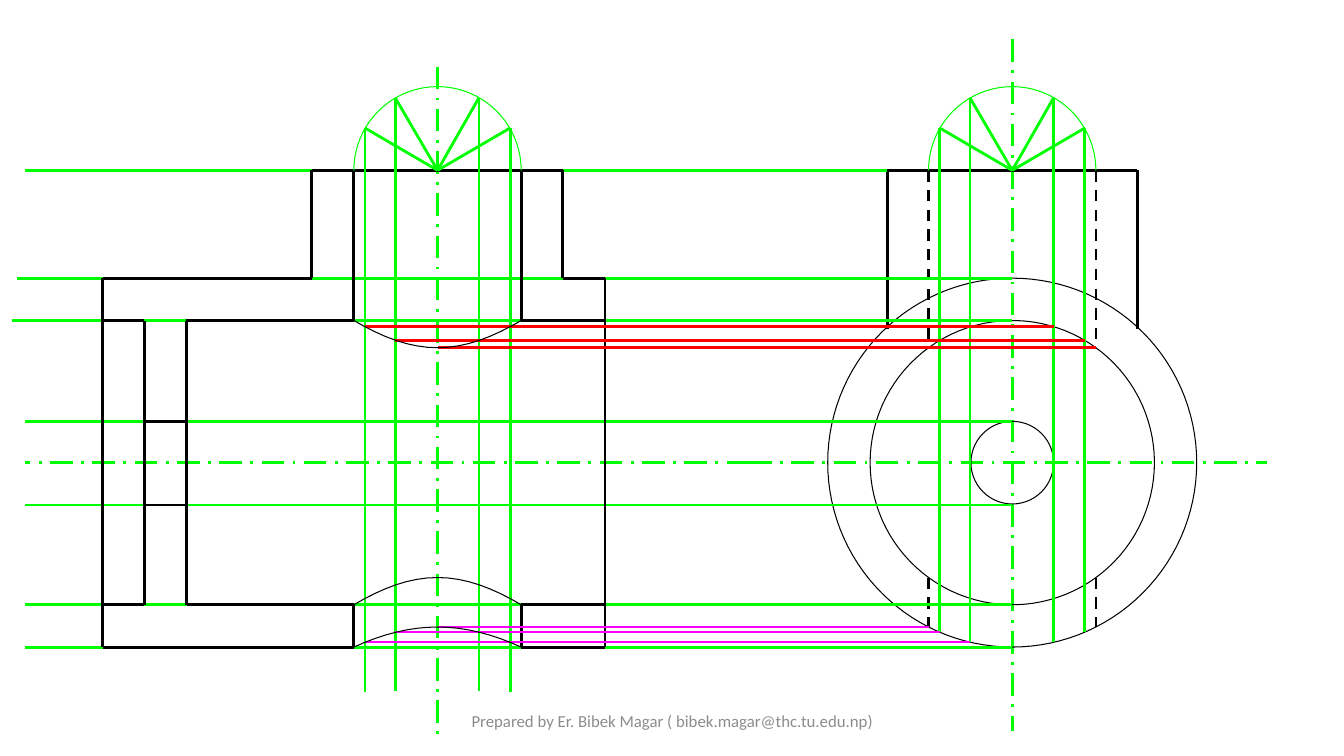
from math import cos, pi, sin, sqrt

from lxml.etree import SubElement
from pptx import Presentation
from pptx.dml.color import RGBColor as Rgb
from pptx.enum.dml import MSO_LINE as Dash
from pptx.enum.shapes import MSO_CONNECTOR as Connector
from pptx.enum.text import MSO_ANCHOR as Anchor, PP_ALIGN as Align
from pptx.oxml.ns import qn
from pptx.util import Pt

PX = 9144  # 100 px to the inch
COLORS = {"edge": "000000", "guide": "00FF00", "upper": "FF0000",
          "lower": "FF00FF", "footer": "8C8C8C"}

# Shared levels and radii of the two views
FRONT_X, SIDE_X, AXIS_Y = 434, 1004, 459
BRANCH_TOP, LEFT_END = 169, 25
OUTER, INNER, HOLE, BORE = 183, 141, 41, 83
BODY_TOP, BODY_BOTTOM = AXIS_Y - OUTER, AXIS_Y + OUTER
WALL_TOP, WALL_BOTTOM = AXIS_Y - INNER, AXIS_Y + INNER
HOLE_TOP, HOLE_BOTTOM = 418, 501

presentation = Presentation()
presentation.slide_width, presentation.slide_height = 1333 * PX, 750 * PX
slide = presentation.slides.add_slide(presentation.slide_layouts[6])


def add_line(x1, y1, x2, y2, color="edge", width=0, dash=None):
    line = slide.shapes.add_connector(
        Connector.STRAIGHT, x1 * PX, y1 * PX, x2 * PX, y2 * PX)
    line.line.color.rgb = Rgb.from_string(COLORS[color])
    line.line.width = Pt(width)
    if dash:
        line.line.dash_style = dash
    SubElement(line._element.spPr, qn("a:effectLst"))


def add_curve(points, color="edge", close=False):
    corners = [(round(x * PX), round(y * PX)) for x, y in points]
    builder = slide.shapes.build_freeform(*corners[0])
    builder.add_line_segments(corners[1:], close=close)
    shape = builder.convert_to_shape()
    shape.shadow.inherit = False
    shape.fill.background()
    shape.line.color.rgb = Rgb.from_string(COLORS[color])
    shape.line.width = Pt(0)


# Footer
footer = slide.shapes.add_textbox(442 * PX, 695 * PX, 450 * PX, 40 * PX)
frame = footer.text_frame
frame.word_wrap = True
frame.vertical_anchor = Anchor.MIDDLE
paragraph = frame.paragraphs[0]
paragraph.text = "Prepared by Er. Bibek Magar ( bibek.magar@thc.tu.edu.np)"
paragraph.alignment = Align.CENTER
for name, value in {"name": "Calibri", "size": Pt(12)}.items():
    setattr(paragraph.font, name, value)
paragraph.font.color.rgb = Rgb.from_string(COLORS["footer"])

# Centre lines
for ends in [(SIDE_X, 39, SIDE_X, 725), (743, AXIS_Y, 1257, AXIS_Y),
             (743, AXIS_Y, LEFT_END, AXIS_Y), (FRONT_X, 66, FRONT_X, 736)]:
    add_line(*ends, "guide", 2, Dash.LONG_DASH_DOT)

# Side view: circles, branch and hidden bore
for radius, steps in [(OUTER, 120), (INNER, 106), (HOLE, 56)]:
    angles = [2 * pi * step / steps for step in range(steps)]
    add_curve([(SIDE_X + radius * cos(angle), AXIS_Y + radius * sin(angle))
               for angle in angles], close=True)
for side in (-1, 1):
    branch_x, bore_x = SIDE_X + side * 124, SIDE_X + side * BORE
    add_line(branch_x, BRANCH_TOP, branch_x, 326)
    add_line(bore_x, BRANCH_TOP, bore_x, 345, dash=Dash.DASH)
    add_line(bore_x, 573, bore_x, 622, dash=Dash.DASH)
add_line(880, BRANCH_TOP, 1128, BRANCH_TOP)

# Horizontal projectors between the views
for start, y, end in [
        (880, BRANCH_TOP, LEFT_END), (SIDE_X, BODY_TOP, 17),
        (SIDE_X, WALL_TOP, 12), (SIDE_X, HOLE_TOP, LEFT_END),
        (SIDE_X, HOLE_BOTTOM, LEFT_END), (SIDE_X, WALL_BOTTOM, LEFT_END),
        (SIDE_X, BODY_BOTTOM, LEFT_END)]:
    add_line(start, y, end, y, "guide")

# Front view: chains of edges
front_edges = [
    [(351, BODY_BOTTOM), (102, BODY_BOTTOM), (102, BODY_TOP),
     (309, BODY_TOP), (309, BRANCH_TOP), (558, BRANCH_TOP),
     (558, BODY_TOP), (600, BODY_TOP), (600, BODY_BOTTOM),
     (517, BODY_BOTTOM), (517, WALL_BOTTOM), (600, WALL_BOTTOM)],
    [(517, BRANCH_TOP), (517, WALL_TOP), (600, WALL_TOP)],
    [(102, WALL_TOP), (143, WALL_TOP), (143, WALL_BOTTOM),
     (102, WALL_BOTTOM)],
    [(351, BRANCH_TOP), (351, WALL_TOP), (185, WALL_TOP),
     (185, WALL_BOTTOM), (351, WALL_BOTTOM), (351, BODY_BOTTOM)],
    [(143, HOLE_TOP), (185, HOLE_TOP)],
    [(143, HOLE_BOTTOM), (185, HOLE_BOTTOM)],
]
for chain in front_edges:
    for start, end in zip(chain, chain[1:]):
        add_line(*start, *end)

# Half circles with division rays and vertical generators
for centre, outer_end, inner_end in [(SIDE_X, 627, 637),
                                     (FRONT_X, 687, 686)]:
    add_curve([(centre + BORE * cos(pi * step / 40),
                BRANCH_TOP - BORE * sin(pi * step / 40))
               for step in range(41)], "guide")
    for offset, y, bottom in [(72, 127, outer_end), (41, 97, inner_end),
                              (-72, 127, outer_end), (-42, 97, inner_end)]:
        x = centre + offset
        add_line(centre, BRANCH_TOP, x, y, "guide")
        add_line(x, y, x, bottom, "guide")

# Projectors of the intersection points
for start, end, y, color in [
        (1087, 434, 345, "upper"), (1076, 392, 338, "upper"),
        (1045, 362, 324, "upper"), (921, 434, 622, "lower"),
        (932, 392, 627, "lower"), (962, 362, 637, "lower")]:
    add_line(start, y, end, y, color)

# Curves where the bore meets the inner and outer cylinders
for radius, direction in [(INNER, -1), (INNER, 1), (OUTER, 1)]:
    offsets = [BORE * (step / 8 - 1) for step in range(17)]
    add_curve([(FRONT_X + offset,
                AXIS_Y + direction * sqrt(radius**2 - BORE**2 + offset**2))
               for offset in offsets])

presentation.save("out.pptx")
